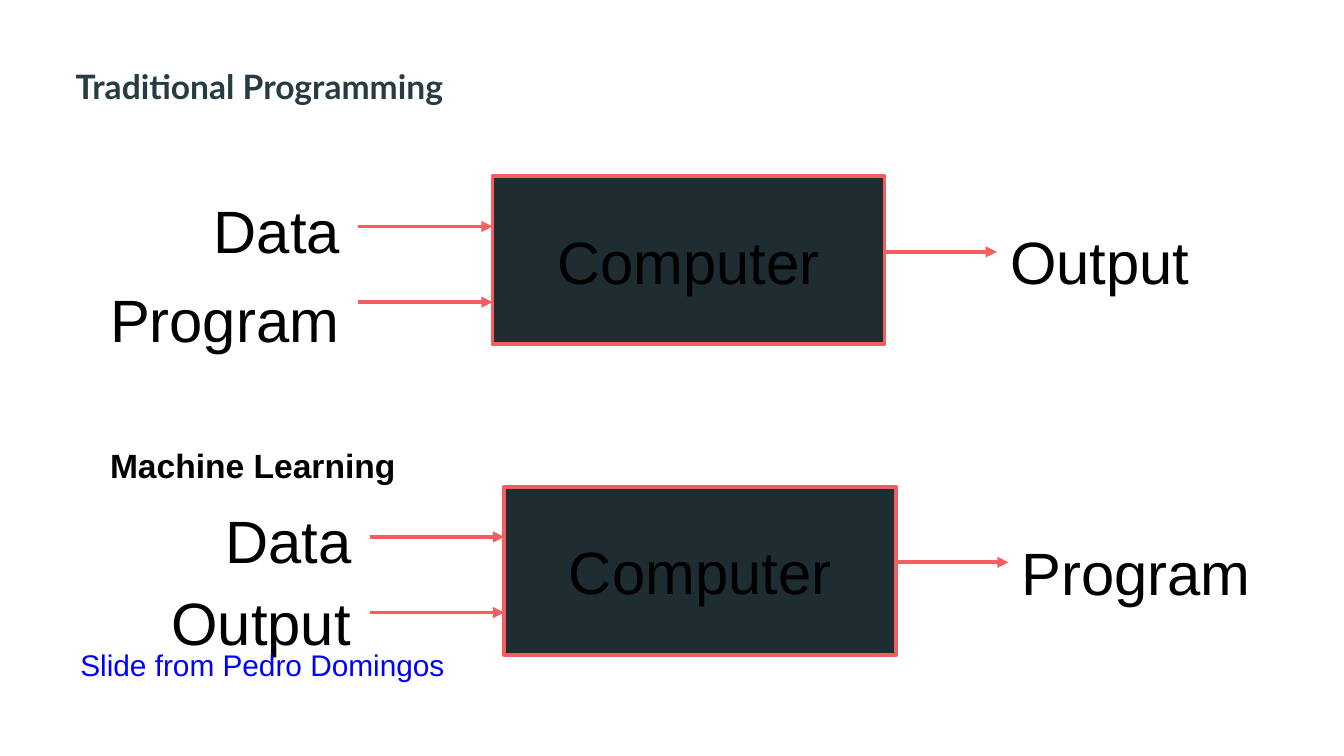
from dataclasses import dataclass

from lxml import etree
from pptx import Presentation
from pptx.dml.color import RGBColor as RGB
from pptx.enum.shapes import MSO_CONNECTOR as Connector, MSO_SHAPE as Shape
from pptx.enum.text import MSO_ANCHOR as Anchor, MSO_AUTO_SIZE as AutoSize, PP_ALIGN as Align
from pptx.oxml.ns import qn
from pptx.util import Cm, Pt


@dataclass(frozen=True)
class Theme:
    heading: RGB = RGB.from_string("273C42")
    text: RGB = RGB.from_string("000000")
    credit: RGB = RGB.from_string("0000FF")
    box: RGB = RGB.from_string("1E2D31")
    accent: RGB = RGB.from_string("F55E61")
    heading_font: str = "Lato"
    font: str = "Arial"
    label_size: int = 32
    heading_size: int = 18
    credit_size: int = 16
    line_width: int = 2


class SlideBuilder:
    def __init__(self, slide, theme):
        self.slide = slide
        self.theme = theme

    def run(self, p, text, size, color, font=None, bold=False):
        r = p.add_run()
        r.text = text
        r.font.name = font or self.theme.font
        r.font.size = Pt(size)
        r.font.color.rgb = color
        r.font.bold = bold

    def heading(self, text, x, y, w, h):
        """Write the heading in the body placeholder, without a bullet."""
        t = self.theme
        sp = self.slide.placeholders[1]
        sp.left, sp.top, sp.width, sp.height = Cm(x), Cm(y), Cm(w), Cm(h)
        tf = sp.text_frame
        tf.auto_size = AutoSize.NONE
        tf.vertical_anchor = Anchor.TOP
        tf.margin_left = tf.margin_right = tf.margin_top = tf.margin_bottom = Cm(0.25)
        p = tf.paragraphs[0]
        pPr = p._p.get_or_add_pPr()
        pPr.set("marL", str(Cm(0.62)))
        pPr.set("indent", "0")
        etree.SubElement(pPr, qn("a:buNone"))
        p.line_spacing = 1.15
        p.space_before = Pt(0)
        self.run(p, text, t.heading_size, t.heading, t.heading_font, bold=True)

    def text(self, text, x, y, w, h, size, color, bold=False, wrap=False):
        tf = self.slide.shapes.add_textbox(Cm(x), Cm(y), Cm(w), Cm(h)).text_frame
        tf.word_wrap = wrap
        tf.auto_size = AutoSize.SHAPE_TO_FIT_TEXT
        self.run(tf.paragraphs[0], text, size, color, bold=bold)

    def label(self, text, x, y, w):
        self.text(text, x, y, w, 1.63, self.theme.label_size, self.theme.text)

    def box(self, text, x, y, w, h):
        t = self.theme
        sp = self.slide.shapes.add_shape(Shape.RECTANGLE, Cm(x), Cm(y), Cm(w), Cm(h))
        sp.shadow.inherit = False
        sp.fill.solid()
        sp.fill.fore_color.rgb = t.box
        sp.line.color.rgb = t.accent
        sp.line.width = Pt(t.line_width)
        tf = sp.text_frame
        tf.word_wrap = False
        tf.vertical_anchor = Anchor.MIDDLE
        p = tf.paragraphs[0]
        p.alignment = Align.CENTER
        self.run(p, text, t.label_size, t.text)

    def arrow(self, x1, x2, y):
        line = self.slide.shapes.add_connector(
            Connector.STRAIGHT, Cm(x1), Cm(y), Cm(x2), Cm(y))
        line.line.color.rgb = self.theme.accent
        line.line.width = Pt(self.theme.line_width)
        etree.SubElement(line.line._get_or_add_ln(), qn("a:tailEnd"), type="triangle")
        etree.SubElement(line._element.spPr, qn("a:effectLst"))


BOX_W, BOX_H = 7.41, 3.18
LABEL_WIDTHS = {"Data": 2.92, "Program": 4.88, "Output": 3.94}


def draw_flow(b, x, y, inputs, result):
    """Draw a computer box at x, y; inputs are (name, label offset, arrow offset)."""
    b.box("Computer", x, y, BOX_W, BOX_H)
    for name, label_dy, arrow_dy in inputs:
        width = LABEL_WIDTHS[name]
        b.label(name, x - 2.6 - width, y + label_dy, width)
        b.arrow(x - 2.54, x, y + arrow_dy)
    right = x + BOX_W
    b.arrow(right, right + 2.12, y + 1.43)
    b.label(result, right + 2.12, y + 0.8, LABEL_WIDTHS[result])


def main():
    prs = Presentation()
    prs.slide_width, prs.slide_height = Cm(25.4), Cm(14.29)
    s = prs.slides.add_slide(prs.slide_layouts[1])
    title = s.shapes.title.element
    title.getparent().remove(title)

    theme = Theme()
    b = SlideBuilder(s, theme)
    b.heading("Traditional Programming", 0.56, 0.89, 23.77, 13.18)
    draw_flow(b, 9.31, 3.33, [("Data", 0.2, 0.95), ("Program", 1.9, 2.38)], "Output")
    draw_flow(b, 9.53, 9.2, [("Data", 0.2, 0.95), ("Output", 1.75, 2.38)], "Program")
    b.text("Slide from Pedro Domingos", 1.27, 12.09, 8.05, 0.94,
           theme.credit_size, theme.credit, wrap=True)
    b.text("Machine Learning", 1.83, 8.28, 5.97, 1.02,
           theme.heading_size, theme.text, bold=True)
    prs.save("out.pptx")


if __name__ == "__main__":
    main()
